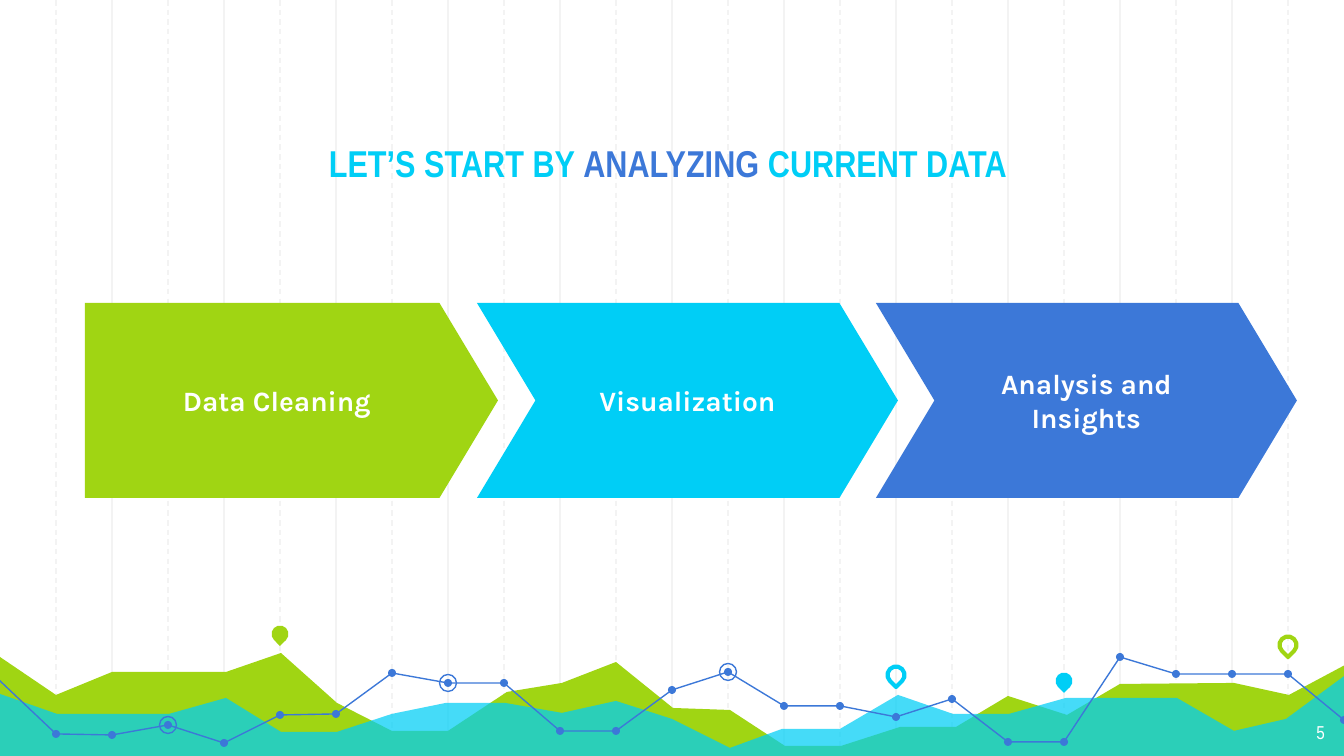
from lxml import etree
from pptx import Presentation, util as u
from pptx.dml.color import RGBColor
from pptx.enum import dml, shapes, text
from pptx.oxml import ns

SCALE = 914400 / 134.4
WIDTH, HEIGHT = 1344, 756
STEP = 56
GREEN, CYAN, BLUE, WHITE, GREY = "A0D513", "00CEF6", "3C78D8", "FFFFFF", "F3F3F3"
KIND = shapes.MSO_SHAPE

GREEN_RIDGE = [
    (-3, 655), (56, 695), (112, 672), (226, 672), (281, 653), (337, 703),
    (392, 731), (448, 731), (507, 692), (562, 683), (616, 662), (673, 708),
    (730, 710), (785, 746), (841, 746), (900, 727), (956, 727), (1008, 696),
    (1067, 715), (1120, 684), (1234, 683), (1289, 695), (1347, 664)]
CYAN_RIDGE = [
    (-3, 693), (57, 714), (169, 714), (226, 698), (281, 732), (337, 732),
    (392, 714), (446, 703), (505, 703), (562, 713), (616, 701), (672, 719),
    (730, 748), (782, 729), (840, 729), (898, 695), (953, 714), (1009, 714),
    (1066, 698), (1177, 698), (1234, 731), (1286, 719), (1347, 674)]
TREND_START = (-1, 680)
TREND_HEIGHTS = [734, 735, 725, 743, 715, 714, 673, 683, 683, 731, 731, 690,
                 672, 706, 706, 717, 699, 742, 742, 657, 674, 674, 674, 720]
RINGED = (3, 8, 13)
PINS = [(280, 634, GREEN, True), (896, 675, CYAN, False),
        (1064, 681, CYAN, True), (1288, 645, GREEN, False)]


def px(length):
    return u.Emu(round(length * SCALE))


def colour(value):
    return RGBColor.from_string(value)


def paint(shape, fill=None, line=None, weight=0.75):
    shape.shadow.inherit = False
    if fill:
        shape.fill.solid()
        shape.fill.fore_color.rgb = colour(fill)
    else:
        shape.fill.background()
    if line:
        shape.line.color.rgb = colour(line)
        shape.line.width = u.Pt(weight)
    else:
        shape.line.fill.background()


def add_centred(slide, kind, x, y, size, **look):
    shape = slide.shapes.add_shape(
        kind, px(x - size / 2), px(y - size / 2), px(size), px(size))
    paint(shape, **look)
    return shape


def add_path(slide, points, close, **look):
    builder = slide.shapes.build_freeform(*points[0], scale=SCALE)
    builder.add_line_segments(points[1:], close=close)
    shape = builder.convert_to_shape()
    paint(shape, **look)
    return shape


def write(shape, runs, font, size, bold, align, anchor):
    """Fill the shape with one paragraph of (words, colour) runs."""
    frame = shape.text_frame
    frame.word_wrap = True
    frame.vertical_anchor = anchor
    frame.margin_left = frame.margin_right = u.Inches(0.1)
    frame.margin_top = frame.margin_bottom = u.Inches(0.1)
    paragraph = frame.paragraphs[0]
    paragraph.alignment = align
    for words, hue in runs:
        run = paragraph.add_run()
        run.text = words
        run.font.name = font
        run.font.size = u.Pt(size)
        run.font.bold = bold
        run.font.color.rgb = colour(hue)


def add_grid(slide, width, height):
    """Vertical rules: solid on even steps, dashed on odd ones."""
    for parity in (0, 1):
        for x in range(STEP * (2 - parity), width, 2 * STEP):
            rule = slide.shapes.add_connector(
                shapes.MSO_CONNECTOR.STRAIGHT, px(x), 0, px(x), px(height))
            rule.line.color.rgb = colour(GREY)
            rule.line.width = u.Pt(0.75)
            if parity:
                rule.line.dash_style = dml.MSO_LINE.DASH
            etree.SubElement(rule._element.spPr, ns.qn("a:effectLst"))


def add_landscape(slide, width, bottom):
    """Two area ridges, a trend line with dots, rings and map pins."""
    base = [(width + 3, bottom), (-3, bottom)]
    add_path(slide, GREEN_RIDGE + base, True, fill=GREEN)
    cyan_area = add_path(slide, CYAN_RIDGE + base, True, fill=CYAN)
    fill_colour = cyan_area._element.spPr.find(".//" + ns.qn("a:srgbClr"))
    etree.SubElement(fill_colour, ns.qn("a:alpha"), val="73000")

    for x, y, hue, solid in PINS:
        look = {"fill": hue} if solid else {"line": hue, "weight": 2.25}
        pin = add_centred(slide, KIND.TEAR, x, y, 17, **look)
        pin.rotation = 135

    dots = [(STEP * step, y) for step, y in enumerate(TREND_HEIGHTS, 1)]
    trend = [TREND_START] + dots
    for first, last in ((0, 11), (11, 20), (20, 24)):
        add_path(slide, trend[first:last + 1], False, line=BLUE)
    for x, y in dots:
        add_centred(slide, KIND.OVAL, x, y, 8, fill=BLUE)
    for step in RINGED:
        add_centred(slide, KIND.OVAL, *trend[step], 17, line=BLUE)


def add_label(slide, left, top, width, height, runs, **style):
    box = slide.shapes.add_textbox(px(left), px(top), px(width), px(height))
    write(box, runs, "Arial Narrow", **style)


def add_process(slide, left, top, height):
    """Three arrows in a row; left and top place the first."""
    steps = [("Data Cleaning", GREEN, KIND.PENTAGON, 0, 413),
             ("Visualization", CYAN, KIND.CHEVRON, 392, 421),
             ("Analysis and Insights", BLUE, KIND.CHEVRON, 791, 421)]
    for words, hue, kind, offset, width in steps:
        arrow = slide.shapes.add_shape(
            kind, px(left + offset), px(top), px(width), px(height))
        arrow.adjustments[0] = 0.3
        paint(arrow, fill=hue)
        write(arrow, [(words, WHITE)], "Karla", 15, True,
              text.PP_ALIGN.CENTER, text.MSO_ANCHOR.MIDDLE)


def main():
    presentation = Presentation()
    presentation.slide_width, presentation.slide_height = px(WIDTH), px(HEIGHT)
    slide = presentation.slides.add_slide(presentation.slide_layouts[6])
    slide.background.fill.solid()
    slide.background.fill.fore_color.rgb = colour(WHITE)

    add_grid(slide, WIDTH, HEIGHT + 3)
    add_landscape(slide, WIDTH, HEIGHT + 3)
    title = [("LET’S START BY ", CYAN), ("ANALYZING ", BLUE),
             ("CURRENT DATA", CYAN)]
    add_label(slide, 154, 93, 1028, 105, title, size=20, bold=True,
              align=text.PP_ALIGN.CENTER, anchor=text.MSO_ANCHOR.BOTTOM)
    add_process(slide, 85, 303, 195)
    add_label(slide, 1258, 710, 80, 47, [("5", WHITE)], size=10, bold=False,
              align=text.PP_ALIGN.RIGHT, anchor=text.MSO_ANCHOR.TOP)
    presentation.save("out.pptx")


if __name__ == "__main__":
    main()
